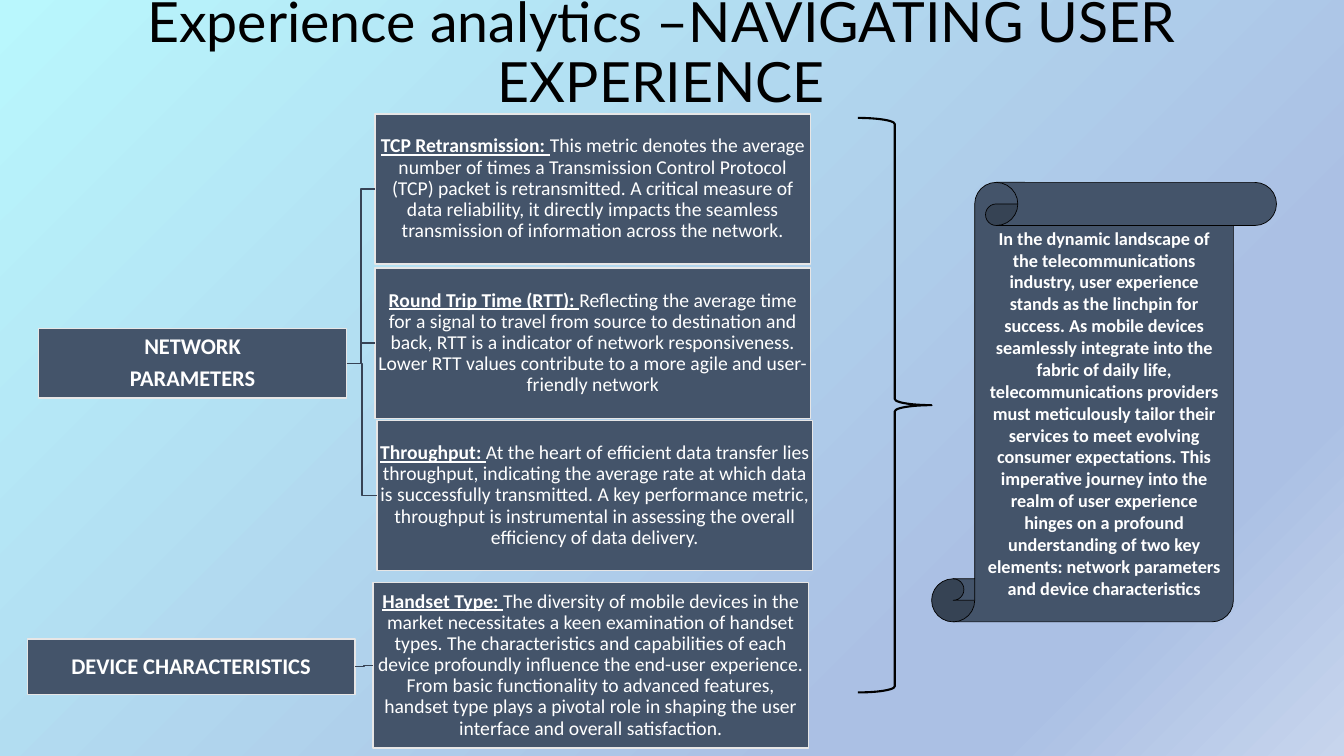
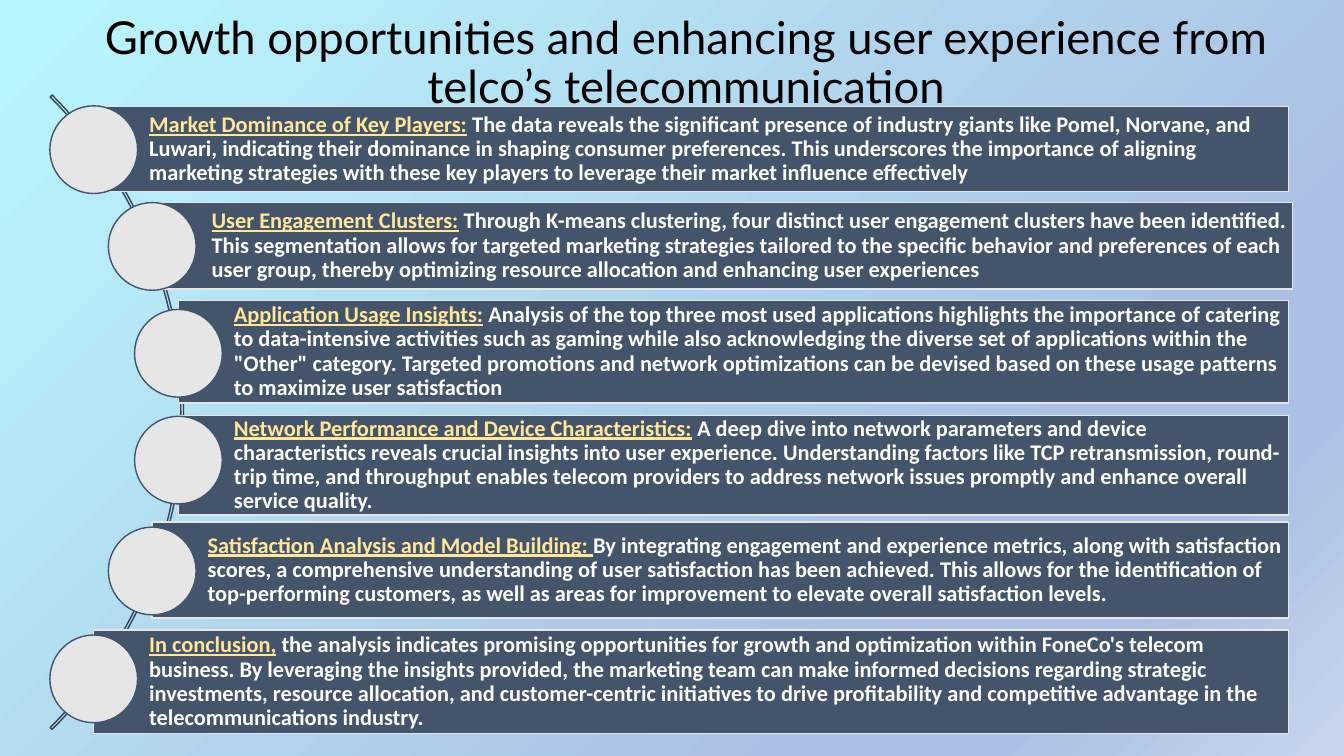
from lxml.etree import SubElement
from pptx import Presentation
from pptx.dml.color import RGBColor
from pptx.enum.shapes import MSO_CONNECTOR, MSO_SHAPE
from pptx.enum.text import MSO_ANCHOR, MSO_AUTO_SIZE, PP_ALIGN
from pptx.oxml.ns import qn
from pptx.util import Inches, Pt

HUES = {
    "slate": "44546A", "edge": "364355", "pale": "E7E6E6", "gold": "FFE699",
    "white": "FFFFFF", "black": "000000",
    "aqua": "B9F7FD", "blue": "ABC0E4", "mist": "C7D5ED",
}
STOPS = [(0, "aqua"), (74, "blue"), (83, "blue"), (100, "mist")]
FRAME = {"word_wrap": True, "auto_size": MSO_AUTO_SIZE.NONE,
         "vertical_anchor": MSO_ANCHOR.MIDDLE}
TITLE = {"name": "Lato", "bold": False}
BODY = {"name": "Calibri"}
SIDES = ("left", "top", "right", "bottom")


def tint(name):
    return RGBColor.from_string(HUES[name])


def put(item, values):
    for key, value in values.items():
        setattr(item, key, value)


class Deck:
    def __init__(self):
        self.prs = Presentation()
        put(self.prs, {"slide_width": Inches(13.33), "slide_height": Inches(7.5)})
        self.page = None
        self.paint()

    def paint(self):
        base = self.prs.slide_master
        fill = base.background.fill
        fill.gradient()
        fill.gradient_angle = 315
        stops = base.element.xpath("p:cSld/p:bg//a:gsLst")[0]
        for old in list(stops):
            stops.remove(old)
        for spot, hue in STOPS:
            stop = SubElement(stops, qn("a:gs"), pos=str(spot * 1000))
            SubElement(stop, qn("a:srgbClr"), val=HUES[hue])

    def label(self, shape, lines, font, align, space=0.9, pad=None):
        frame = shape.text_frame
        put(frame, FRAME)
        if pad:
            put(frame, {f"margin_{side}": Inches(gap)
                        for side, gap in zip(SIDES, pad)})
        for i, runs in enumerate(lines):
            para = frame.add_paragraph() if i else frame.paragraphs[0]
            put(para, {"alignment": align, "line_spacing": space})
            if pad:
                para.space_after = Pt(font["size"].pt * 0.35)
            for text, hue, style in runs:
                run = para.add_run()
                run.text = text
                put(run.font, {**font, **style})
                run.font.color.rgb = tint(hue)

    def title(self, text, box, size):
        self.page = self.prs.slides.add_slide(self.prs.slide_layouts[5])
        head = self.page.shapes.title
        put(head, dict(zip(("left", "top", "width", "height"), map(Inches, box))))
        self.label(head, [[(text, "black", {})]], {**TITLE, "size": Pt(size)},
                   PP_ALIGN.CENTER)

    def shape(self, kind, box, fill="slate", line="pale", width=1):
        item = self.page.shapes.add_shape(kind, *map(Inches, box))
        item.shadow.inherit = False
        if fill:
            item.fill.solid()
            item.fill.fore_color.rgb = tint(fill)
        else:
            item.fill.background()
        item.line.color.rgb = tint(line)
        item.line.width = Pt(width)
        return item

    def card(self, box, lines, size, align=PP_ALIGN.CENTER, pad=(0.01,) * 4):
        item = self.shape(MSO_SHAPE.RECTANGLE, box)
        self.label(item, lines, {**BODY, "size": Pt(size)}, align, pad=pad)
        return item

    def link(self, start, end):
        wire = self.page.shapes.add_connector(MSO_CONNECTOR.ELBOW, 0, 0, 0, 0)
        wire.begin_connect(start, 3)
        wire.end_connect(end, 1)
        wire.line.color.rgb = tint("edge")
        wire.line.width = Pt(1)
        SubElement(wire.element.spPr, qn("a:effectLst"))


BOLD = {"bold": True}
LEAD = {"bold": True, "underline": True}

TREES = [
    ((0.38, 3.26, 3.06, 0.69), ["NETWORK", "PARAMETERS"], [
        (3.72, 1.13, 1.49, "TCP Retransmission: ",
         "This metric denotes the average number of times a Transmission Control "
         "Protocol (TCP) packet is retransmitted. A critical measure of data "
         "reliability, it directly impacts the seamless transmission of "
         "information across the network."),
        (3.72, 2.66, 1.49, "Round Trip Time (RTT): ",
         "Reflecting the average time for a signal to travel from source to "
         "destination and back, RTT is a indicator of network responsiveness. "
         "Lower RTT values contribute to a more agile and user-friendly network"),
        (3.74, 4.17, 1.49, "Throughput: ",
         "At the heart of efficient data transfer lies throughput, indicating the "
         "average rate at which data is successfully transmitted. A key "
         "performance metric, throughput is instrumental in assessing the overall "
         "efficiency of data delivery."),
    ]),
    ((0.27, 6.34, 3.25, 0.55), ["DEVICE CHARACTERISTICS"], [
        (3.7, 5.78, 1.64, "Handset Type: ",
         "The diversity of mobile devices in the market necessitates a keen "
         "examination of handset types. The characteristics and capabilities of "
         "each device profoundly influence the end-user experience. From basic "
         "functionality to advanced features, handset type plays a pivotal role "
         "in shaping the user interface and overall satisfaction."),
    ]),
]

SCROLL = (
    "In the dynamic landscape of the telecommunications industry, user experience "
    "stands as the linchpin for success. As mobile devices seamlessly integrate "
    "into the fabric of daily life, telecommunications providers must meticulously "
    "tailor their services to meet evolving consumer expectations. This imperative "
    "journey into the realm of user experience hinges on a profound understanding "
    "of two key elements: network parameters and device characteristics")

BARS = [
    (0.93, 0, 1.06, 0.84, 1.05, "Market Dominance of Key Players:",
     " The data reveals the significant presence of industry giants like Pomel, "
     "Norvane, and Luwari, indicating their dominance in shaping consumer "
     "preferences. This underscores the importance of aligning marketing "
     "strategies with these key players to leverage their market influence "
     "effectively"),
    (1.51, 0.04, 2.01, 0.86, 2.01, "User Engagement Clusters:",
     " Through K-means clustering, four distinct user engagement clusters have "
     "been identified. This segmentation allows for targeted marketing strategies "
     "tailored to the specific behavior and preferences of each user group, "
     "thereby optimizing resource allocation and enhancing user experiences"),
    (1.77, 0, 2.98, 1.02, 3.07, "Application Usage Insights:",
     " Analysis of the top three most used applications highlights the importance "
     "of catering to data-intensive activities such as gaming while also "
     "acknowledging the diverse set of applications within the \"Other\" category. "
     "Targeted promotions and network optimizations can be devised based on these "
     "usage patterns to maximize user satisfaction"),
    (1.77, 0, 4.12, 0.99, 4.13, "Network Performance and Device Characteristics:",
     " A deep dive into network parameters and device characteristics reveals "
     "crucial insights into user experience. Understanding factors like TCP "
     "retransmission, round-trip time, and throughput enables telecom providers "
     "to address network issues promptly and enhance overall service quality."),
    (1.51, 0, 5.18, 0.95, 5.23, "Satisfaction Analysis and Model Building: ",
     "By integrating engagement and experience metrics, along with satisfaction "
     "scores, a comprehensive understanding of user satisfaction has been "
     "achieved. This allows for the identification of top-performing customers, "
     "as well as areas for improvement to elevate overall satisfaction levels."),
    (0.93, 0, 6.25, 1.03, 6.3, "In conclusion,",
     " the analysis indicates promising opportunities for growth and optimization "
     "within FoneCo's telecom business. By leveraging the insights provided, the "
     "marketing team can make informed decisions regarding strategic investments, "
     "resource allocation, and customer-centric initiatives to drive "
     "profitability and competitive advantage in the telecommunications industry."),
]
RIGHT = 12.78
BALL = 0.87


def metrics(deck):
    deck.title("Experience analytics –NAVIGATING USER EXPERIENCE",
               (0.81, 0.22, 11.5, 0.65), 39.6)
    for box, names, leaves in TREES:
        root = deck.card(box, [[(name, "white", BOLD)] for name in names], 16)
        for left, top, height, head, text in leaves:
            runs = [(head, "white", LEAD), (text, "white", {})]
            leaf = deck.card((left, top, 4.32, height), [runs], 14)
            deck.link(root, leaf)
    deck.shape(MSO_SHAPE.RIGHT_BRACE, (8.51, 1.17, 0.73, 5.7), None, "black", 1.5)
    scroll = deck.shape(MSO_SHAPE.VERTICAL_SCROLL, (9.24, 1.81, 3.42, 4.36),
                        line="black", width=0.5)
    deck.label(scroll, [[(SCROLL, "white", BOLD)]], {**BODY, "size": Pt(13)},
               PP_ALIGN.CENTER, 1.0)


def growth(deck):
    deck.title("Growth opportunities and enhancing user experience from "
               "telco’s telecommunication", (0.46, 0.31, 12.69, 0.66), 32.4)
    arc = deck.shape(MSO_SHAPE.BLOCK_ARC, (-7.08, -0.36, 8.9, 8.9), None, "edge")
    for i, value in enumerate((189, 27, 0.003)):
        arc.adjustments[i] = value
    for left, nudge, top, height, crest, head, text in BARS:
        runs = [(head, "gold", LEAD), (text, "white", BOLD)]
        deck.card((left + nudge, top, RIGHT - left, height), [runs], 16,
                  PP_ALIGN.LEFT, (0.55, 0.04, 0.04, 0.04))
        deck.shape(MSO_SHAPE.OVAL, (left - BALL / 2, crest, BALL, BALL),
                   "pale", "slate")


def main():
    deck = Deck()
    metrics(deck)
    growth(deck)
    deck.prs.save("out.pptx")


if __name__ == "__main__":
    main()
